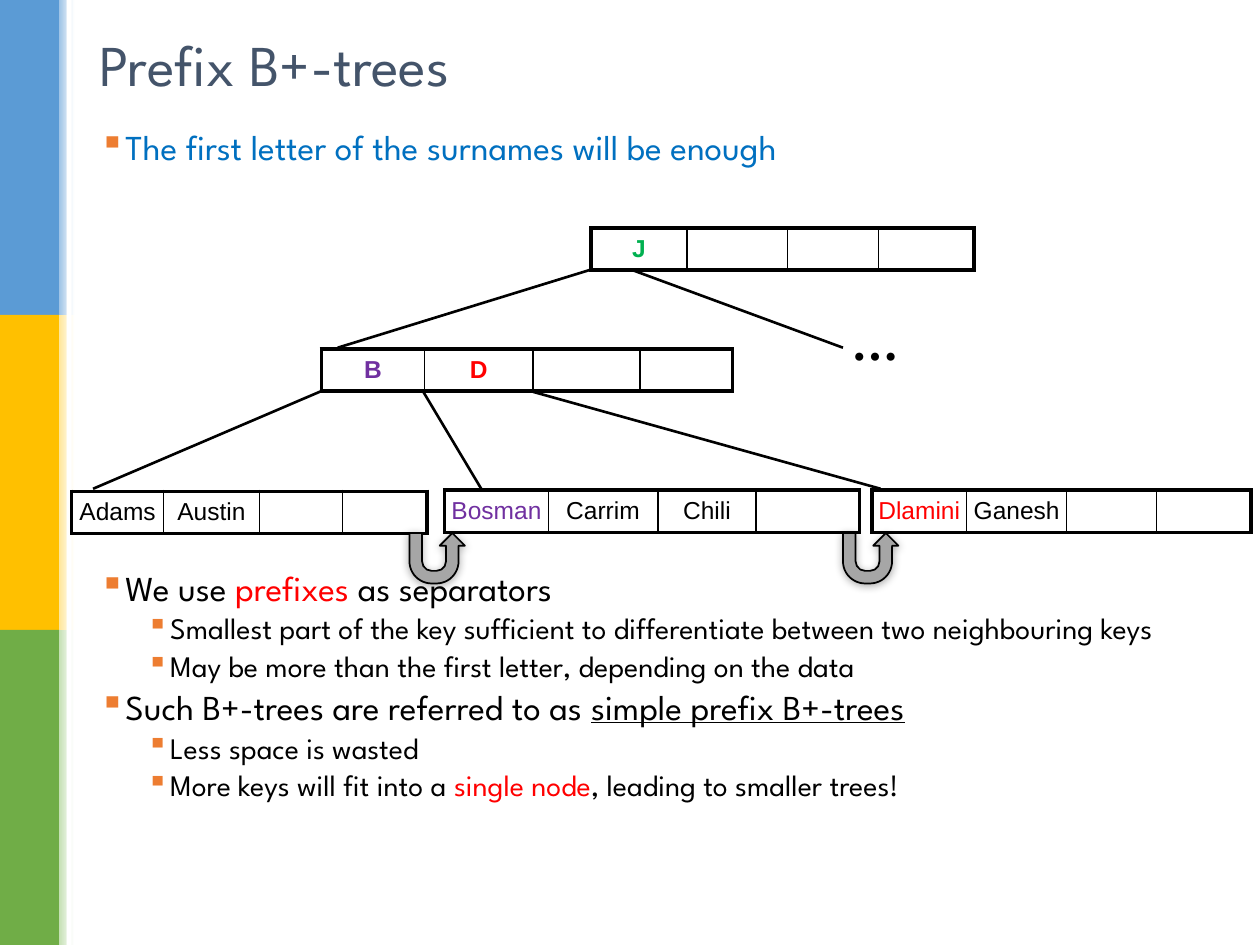
from lxml.etree import SubElement as Sub
from pptx import Presentation
from pptx.dml.color import RGBColor
from pptx.enum.shapes import MSO_CONNECTOR as CONN, MSO_SHAPE as SHAPE
from pptx.enum.text import MSO_ANCHOR as ANCHOR, PP_ALIGN as ALIGN
from pptx.oxml.ns import qn
from pptx.util import Pt

BLACK = RGBColor(0, 0, 0)
WHITE = RGBColor(255, 255, 255)
RED = RGBColor(255, 0, 0)
BLUE = RGBColor(0x00, 0x70, 0xC0)
PURPLE = RGBColor(0x70, 0x30, 0xA0)
GREEN = RGBColor(0x00, 0xB0, 0x50)
SLATE = RGBColor(0x44, 0x54, 0x6A)
GREY = RGBColor(0xA6, 0xA6, 0xA6)
ORANGE = RGBColor(0xED, 0x7D, 0x31)
BANDS = [
    (RGBColor(0x5B, 0x9B, 0xD5), RGBColor(0x9D, 0xC3, 0xE6)),
    (RGBColor(0xFF, 0xC0, 0x00), RGBColor(0xFF, 0xE6, 0x99)),
    (RGBColor(0x70, 0xAD, 0x47), RGBColor(0xC5, 0xE0, 0xB4)),
]
HEAD_FONT = "League Spartan"
KEY_FONT = "Arial"


def add_run(p, text, size, color=BLACK, font=HEAD_FONT, bold=False, underline=False):
    r = p.add_run()
    r.text = text
    f = r.font
    f.name, f.size, f.bold, f.underline = font, Pt(size), bold, underline
    f.color.rgb = color


def add_text_frame(s, x, y, w, h, wrap=True):
    tf = s.shapes.add_textbox(Pt(x), Pt(y), Pt(w), Pt(h)).text_frame
    tf.word_wrap = wrap
    return tf


def add_rect(s, x, y, w, h, color):
    sp = s.shapes.add_shape(SHAPE.RECTANGLE, Pt(x), Pt(y), Pt(w), Pt(h))
    sp.shadow.inherit = False
    sp.line.fill.background()
    sp.fill.solid()
    sp.fill.fore_color.rgb = color
    return sp


def add_sidebar(s, x, y, w, h):
    band_h = h / len(BANDS)
    for i, (color, tint) in enumerate(BANDS):
        add_rect(s, x, y + i * band_h, w, band_h, color)
        fade = add_rect(s, x + w, y + i * band_h, 8.6, band_h, tint).fill
        fade.gradient()
        fade.gradient_angle = 0
        for stop, c in zip(fade.gradient_stops, (tint, WHITE)):
            stop.color.rgb = c
    add_rect(s, x + w + 4.3, y, 2.9, h, WHITE)


def add_title(s, x, y, w, h, text):
    tf = add_text_frame(s, x, y, w, h)
    tf.vertical_anchor = ANCHOR.MIDDLE
    add_run(tf.paragraphs[0], text, 33, SLATE)


def add_bullets(s, x, y, w, h, items):
    tf = add_text_frame(s, x, y, w, h)
    for i, (level, runs) in enumerate(items):
        p = tf.add_paragraph() if i else tf.paragraphs[0]
        size = 17 if level else 20
        p.level = level
        p.line_spacing = 0.8
        p.space_before = Pt(0.3 * size)
        pPr = p._p.get_or_add_pPr()
        pPr.set("marL", str(Pt(13.5 + 27 * level)))
        pPr.set("indent", str(Pt(-13.5)))
        Sub(Sub(pPr, qn("a:buClr")), qn("a:srgbClr"), val=str(ORANGE))
        Sub(pPr, qn("a:buChar"), char="▪")
        for text, *style in runs:
            add_run(p, text, size, *style[:1], underline=len(style) > 1)


def add_border(cell, side, width):
    ln = Sub(cell._tc.get_or_add_tcPr(), qn("a:ln" + side), w=str(Pt(width)))
    Sub(Sub(ln, qn("a:solidFill")), qn("a:srgbClr"), val=str(BLACK))


def add_node(s, x, y, widths, keys, bold=False):
    n = len(widths)
    frame = s.shapes.add_table(1, n, Pt(x), Pt(y), Pt(sum(widths)), Pt(23.8))
    table = frame.table
    table.first_row = table.horz_banding = False
    for i, width in enumerate(widths):
        table.columns[i].width = Pt(width)
        cell = table.cell(0, i)
        cell.margin_left = cell.margin_right = Pt(3.6)
        cell.margin_top = cell.margin_bottom = Pt(3.6)
        cell.vertical_anchor = ANCHOR.MIDDLE
        add_border(cell, "L", 1 if i else 2.25)
        add_border(cell, "R", 1 if i < n - 1 else 2.25)
        add_border(cell, "T", 2.25)
        add_border(cell, "B", 2.25)
        cell.fill.solid()
        cell.fill.fore_color.rgb = WHITE
        p = cell.text_frame.paragraphs[0]
        p.alignment = ALIGN.CENTER
        if i < len(keys):
            text, color = keys[i]
            add_run(p, text, 14, color, KEY_FONT, bold)
        else:
            Sub(p._p, qn("a:endParaRPr"), sz="1400")


def add_link(s, x1, y1, x2, y2):
    ln = s.shapes.add_connector(CONN.STRAIGHT, Pt(x1), Pt(y1), Pt(x2), Pt(y2))
    ln.line.width = Pt(1.5)
    ln.line.color.rgb = BLACK
    Sub(ln._element.spPr, qn("a:effectLst"))


def add_leaf_arrow(s, x, y, w, h):
    sp = s.shapes.add_shape(SHAPE.U_TURN_ARROW, Pt(x), Pt(y), Pt(w), Pt(h))
    for i, value in enumerate((0.25, 0.25, 0.25, 0.44, 1)):
        sp.adjustments[i] = value
    sp.rotation = 180
    sp._element.spPr.find(qn("a:xfrm")).set("flipH", "1")
    sp.fill.solid()
    sp.fill.fore_color.rgb = GREY
    sp.line.width = Pt(1)
    sp.line.color.rgb = BLACK
    sp.shadow.inherit = False
    effects = sp._element.spPr.find(qn("a:effectLst"))
    shadow = Sub(effects, qn("a:outerShdw"), blurRad=str(Pt(5)), dist=str(Pt(1)),
                 dir="5400000", rotWithShape="0")
    Sub(Sub(shadow, qn("a:srgbClr"), val=str(BLACK)), qn("a:alpha"), val="32000")


def add_tree(s, x, y):
    add_node(s, x + 296.6, y, (54.9, 57.5, 52, 54.7), [("J", GREEN)], True)
    add_node(s, x + 142.6, y + 69.1, (59, 62, 61.2, 52.7),
             [("B", PURPLE), ("D", RED)], True)
    add_node(s, x, y + 150.5, (52.5, 54.8, 47.5, 48.2),
             [("Adams", BLACK), ("Austin", BLACK)])
    add_node(s, x + 213.1, y + 149.8, (59.2, 62.6, 56.2, 59),
             [("Bosman", PURPLE), ("Carrim", BLACK), ("Chili", BLACK)])
    add_node(s, x + 457.2, y + 149.8, (54.2, 57.2, 51.3, 54),
             [("Dlamini", RED), ("Ganesh", BLACK)])
    for x1, y1, x2, y2 in (
        (296.6, 23.8, 152, 68.4),
        (319.7, 23.8, 440.7, 68.4),
        (142.6, 93.2, 12.2, 149),
        (200.9, 93.6, 234, 149),
        (263.5, 93.6, 462.2, 149),
    ):
        add_link(s, x + x1, y + y1, x + x2, y + y2)
    tf = add_text_frame(s, x + 438.5, y + 36, 51, 51, wrap=False)
    add_run(tf.paragraphs[0], "…", 36)
    for arrow_x in (193, 440.7):
        add_leaf_arrow(s, x + arrow_x, y + 174.3, 31.7, 28.8)


prs = Presentation()
prs.slide_width, prs.slide_height = Pt(720), Pt(540)
s = prs.slides.add_slide(prs.slide_layouts[6])
add_sidebar(s, 0, 0, 33.8, 540)
add_bullets(s, 49.7, 72.7, 642, 30,
            [(0, [("The first letter of the surnames will be enough", BLUE)])])
add_bullets(s, 49.7, 324.7, 642, 184, [
    (0, [("We use ",), ("prefixes ", RED), ("as separators",)]),
    (1, [("Smallest part of the key sufficient to differentiate "
          "between two neighbouring keys",)]),
    (1, [("May be more than the first letter, depending on the data",)]),
    (0, [("Such B+-trees are referred to as ",),
         ("simple prefix B+-trees", BLACK, True)]),
    (1, [("Less space is wasted",)]),
    (1, [("More keys will fit into a ",), ("single node", RED),
         (", leading to smaller trees!",)]),
])
add_title(s, 49.7, 11.5, 620.6, 49, "Prefix B+-trees")
add_tree(s, 41, 130.3)
prs.save("out.pptx")
